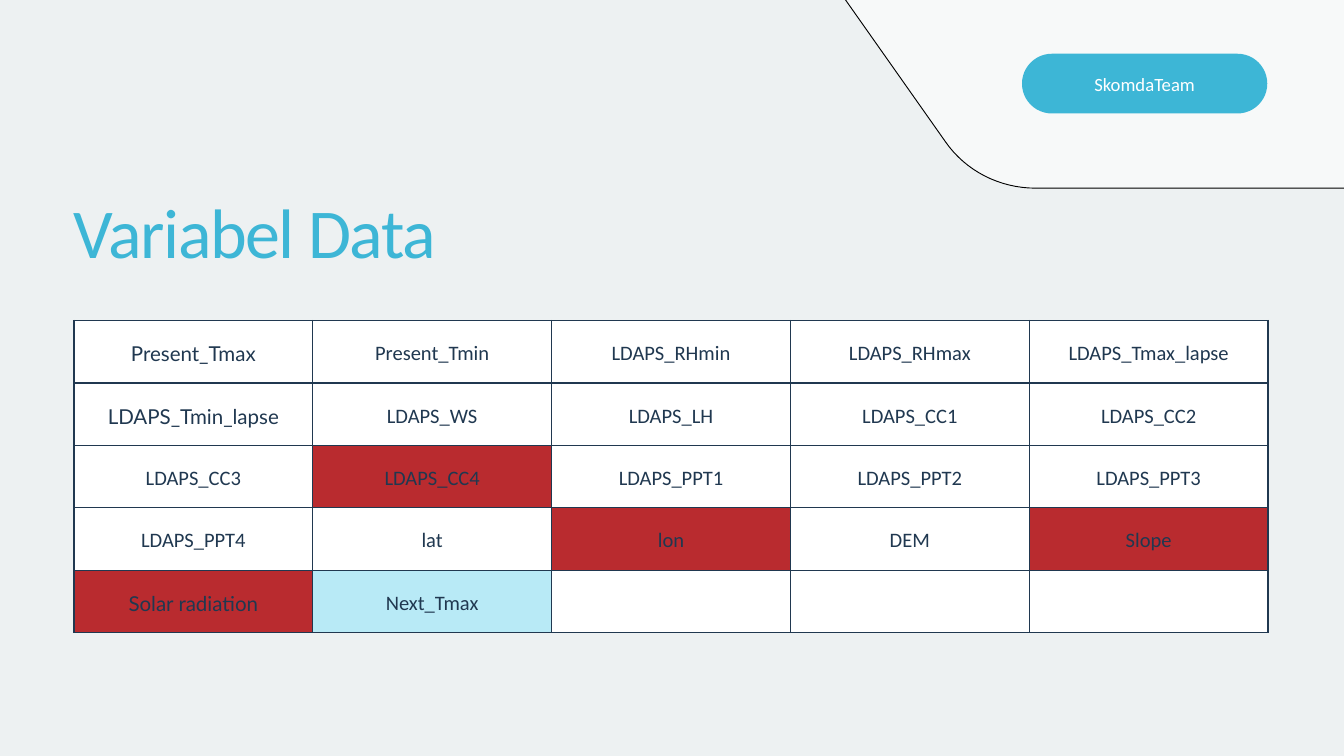
import pptx
import pptx.util
import pptx.dml.color
import pptx.enum.shapes
import pptx.enum.text
import pptx.oxml
import pptx.oxml.ns
import lxml.etree

Pt = pptx.util.Pt
RGB = pptx.dml.color.RGBColor
Align = pptx.enum.text.PP_ALIGN
Anchor = pptx.enum.text.MSO_ANCHOR
qn = pptx.oxml.ns.qn

PALE = RGB(0xED, 0xF1, 0xF2)
WHITE = RGB(0xFF, 0xFF, 0xFF)
BLACK = RGB(0, 0, 0)
BLUE = RGB(0x3D, 0xB6, 0xD6)
NAVY = RGB(0x20, 0x38, 0x50)
RED = RGB(0xB9, 0x2B, 0x2F)
SKY = RGB(0xB8, 0xEA, 0xF6)


def write(frame, text, size=22, color=NAVY, face="Calibri",
          align=Align.CENTER, line=30.8, track=0):
    par = frame.paragraphs[0]
    par.alignment = align
    par.line_spacing = Pt(line)
    run = par.add_run()
    run.text = text
    run.font.size = Pt(size)
    run.font.name = face
    run.font.color.rgb = color
    if track:
        run._r.get_or_add_rPr().set("spc", str(int(track * 100)))


deck = pptx.Presentation()
deck.slide_width = Pt(1440)
deck.slide_height = Pt(810)
slide = deck.slides.add_slide(deck.slide_layouts[5])
slide.background.fill.solid()
slide.background.fill.fore_color.rgb = PALE

title = slide.shapes.title
title.left, title.top, title.width, title.height = Pt(79.2), Pt(201.6), Pt(730), Pt(89.3)
frame = title.text_frame
frame.word_wrap = True
frame.auto_size = pptx.enum.text.MSO_AUTO_SIZE.NONE
frame.vertical_anchor = Anchor.TOP
frame.margin_left = frame.margin_right = frame.margin_top = frame.margin_bottom = 0
write(frame, "Variabel Data", size=75, color=BLUE, align=Align.LEFT, line=90, track=-1.5)

# Each corner is a Bezier curve; straight edges join one corner to the next.
corners = [
    [(1791.4, -118.1), (1817.3, -162.7), (1810.8, -219.6), (1775.5, -257)],
    [(1438.6, -623.5), (1416.2, -648), (1384.6, -661.7), (1351.4, -661.7)],
    [(997.9, -661.7), (933.1, -661.7), (879.8, -608.4), (879.8, -543.6)],
    [(879.8, -74.2), (879.8, -49.7), (887.8, -25.9), (901.4, -6.5)],
    [(1013, 151.9), (1034.6, 182.9), (1070.6, 201.6), (1109.5, 201.6)],
    [(1537.9, 201.6), (1579.7, 201.6), (1618.6, 179.3), (1639.4, 143.3)],
]
steps = 16
dots = []
for curve in corners:
    for step in range(steps + 1):
        t = step / steps
        parts = ((1 - t) ** 3, 3 * t * (1 - t) ** 2, 3 * t * t * (1 - t), t ** 3)
        dots.append(tuple(Pt(sum(w * p[axis] for w, p in zip(parts, curve)))
                          for axis in (0, 1)))
path = slide.shapes.build_freeform(*dots[0])
path.add_line_segments(dots[1:], close=True)
panel = path.convert_to_shape()
panel.shadow.inherit = False
panel.fill.solid()
panel.fill.fore_color.rgb = WHITE
tint = panel.fill._xPr.find(qn("a:solidFill"))[0]
lxml.etree.SubElement(tint, qn("a:alpha"), val="60000")
panel.line.color.rgb = BLACK
panel.line.width = Pt(1)

words = [
    ["Present_Tmax", "Present_Tmin", "LDAPS_RHmin", "LDAPS_RHmax", "LDAPS_Tmax_lapse"],
    ["LDAPS_Tmin_lapse", "LDAPS_WS", "LDAPS_LH", "LDAPS_CC1", "LDAPS_CC2"],
    ["LDAPS_CC3", "LDAPS_CC4", "LDAPS_PPT1", "LDAPS_PPT2", "LDAPS_PPT3"],
    ["LDAPS_PPT4", "lat", "lon", "DEM", "Slope"],
    ["Solar radiation", "Next_Tmax", "", "", ""],
]
fills = {"LDAPS_CC4": RED, "lon": RED, "Slope": RED, "Solar radiation": RED, "Next_Tmax": SKY}
lato = {"Present_Tmax", "LDAPS_Tmin_lapse", "Solar radiation"}

grid = slide.shapes.add_table(5, 5, Pt(79.2), Pt(343.4), Pt(1279.5), Pt(334.5)).table
grid.first_row = False
grid.horz_banding = False
for col in grid.columns:
    col.width = Pt(255.9)
for row in grid.rows:
    row.height = Pt(66.9)
for r, names in enumerate(words):
    for c, name in enumerate(names):
        cell = grid.cell(r, c)
        cell.vertical_anchor = Anchor.MIDDLE
        cell.margin_left = cell.margin_right = Pt(15)
        cell.margin_top = cell.margin_bottom = Pt(15)
        props = cell._tc.get_or_add_tcPr()
        for side in ("lnL", "lnR", "lnT", "lnB"):
            edge = lxml.etree.SubElement(props, qn("a:" + side), w=str(Pt(1.5)))
            paint = lxml.etree.SubElement(edge, qn("a:solidFill"))
            lxml.etree.SubElement(paint, qn("a:srgbClr"), val=str(NAVY))
        cell.fill.solid()
        cell.fill.fore_color.rgb = fills.get(name, WHITE)
        if name:
            write(cell.text_frame, name, face="Lato" if name in lato else "Calibri")

badge = slide.shapes.add_shape(pptx.enum.shapes.MSO_SHAPE.ROUNDED_RECTANGLE,
                               Pt(1095), Pt(57.6), Pt(262.8), Pt(64))
badge.adjustments[0] = 0.5
badge.shadow.inherit = False
badge.fill.solid()
badge.fill.fore_color.rgb = BLUE
badge.line.fill.background()
badge.text_frame.vertical_anchor = Anchor.MIDDLE
write(badge.text_frame, "SkomdaTeam", size=20, color=WHITE, line=24)

deck.save("out.pptx")
